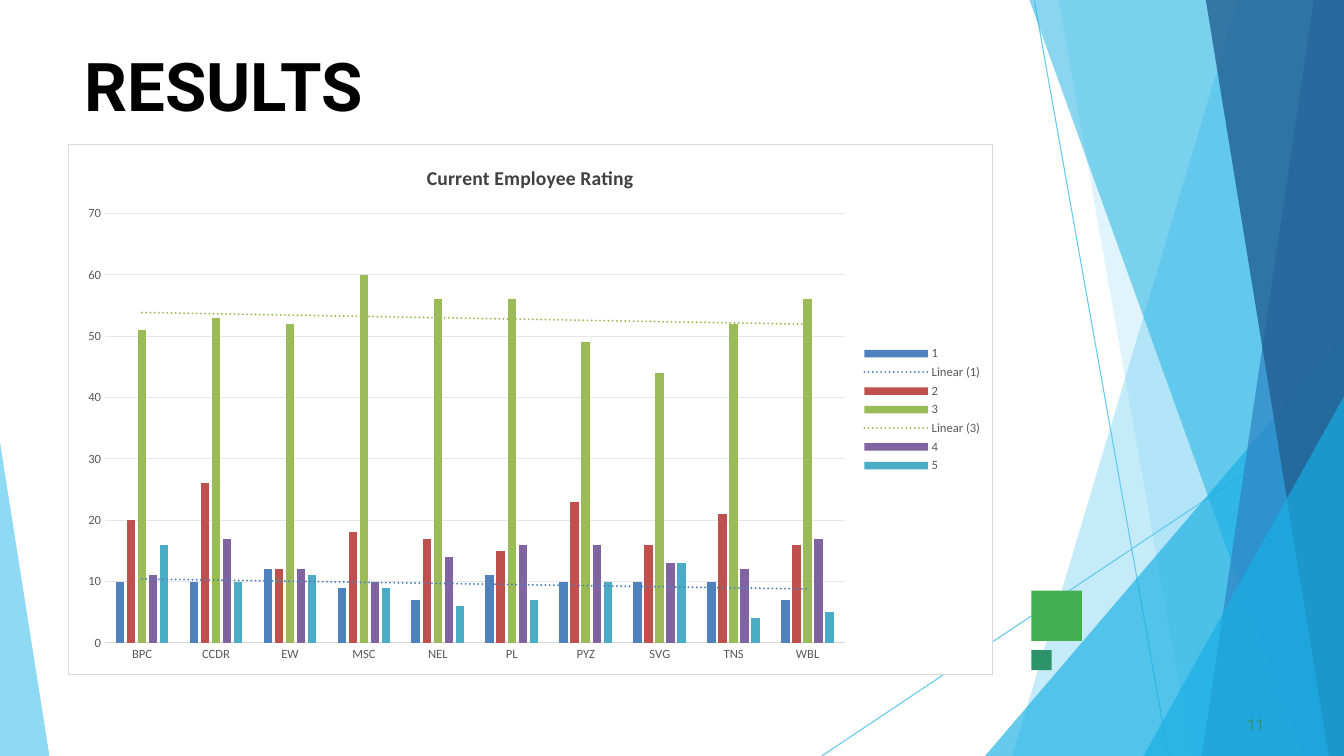
import pptx
import pptx.chart.data
import pptx.dml.color
import pptx.enum.chart
import pptx.enum.shapes
import pptx.enum.text
import pptx.oxml
import pptx.oxml.ns
import pptx.util

Inches, Pt = pptx.util.Inches, pptx.util.Pt
W, H = 13.33, 7.5
NS = pptx.oxml.ns.nsdecls("a", "c")
INK = {
    "sky": "5FCAEE", "azure": "17AFE3", "blue": "2D83C3", "navy": "226192",
    "green": "42AF51", "teal": "2D936B", "black": "000000", "white": "FFFFFF",
    "dark": "404040", "gray": "595959", "edge": "D9D9D9", "grid": "E6E6E6",
}
# start x, start y, end x, end y
RAYS = [(10.26, 0.01, 11.59, H), (W, 4.04, 8.15, H)]
# corner points, colour, opacity in percent
BANDS = [
    ([(W, 0), (12.28, 0), (10.04, H), (W, H)], "sky", 36),
    ([(W, 0), (10.5, 0), (11.82, H), (W, H)], "sky", 20),
    ([(W, 3.33), (9.77, H), (W, H)], "azure", 66),
    ([(W, 0), (10.21, 0), (12.91, H), (W, H)], "azure", 50),
    ([(W, 0), (13.03, 0), (11.92, H), (W, H)], "blue", 70),
    ([(W, 0), (11.96, 0), (13.18, H), (W, H)], "navy", 80),
    ([(W, 3.93), (11.34, H), (W, H)], "azure", 66),
    ([(0, 4.39), (0, H), (0.49, H)], "sky", 70),
]
# left, top, side, colour
SQUARES = [(10.23, 5.86, 0.5, "green"), (10.23, 6.45, 0.2, "teal")]
TEAMS = ["BPC", "CCDR", "EW", "MSC", "NEL", "PL", "PYZ", "SVG", "TNS", "WBL"]
# rating, colour, has trend line, counts
RATINGS = [
    ("1", "4F81BD", True, [10, 10, 12, 9, 7, 11, 10, 10, 10, 7]),
    ("2", "C0504D", False, [20, 26, 12, 18, 17, 15, 23, 16, 21, 16]),
    ("3", "9BBB59", True, [51, 53, 52, 60, 56, 56, 49, 44, 52, 56]),
    ("4", "8064A2", False, [11, 17, 12, 10, 14, 16, 16, 13, 12, 17]),
    ("5", "4BACC6", False, [16, 10, 11, 9, 6, 7, 10, 13, 4, 5]),
]
PLOT = {"x": 0.04, "y": 0.13, "w": 0.8, "h": 0.81}


def rgb(name):
    return pptx.dml.color.RGBColor.from_string(INK.get(name, name))


def paint(shape, color):
    shape.shadow.inherit = False
    shape.fill.solid()
    shape.fill.fore_color.rgb = rgb(color)
    shape.line.fill.background()


def stroke(line, color):
    line.color.rgb = rgb(color)
    line.width = Pt(0.75)


def style(font, size, color, face="Calibri", bold=False):
    font.size, font.name, font.bold = Pt(size), face, bold
    font.color.rgb = rgb(color)


def write(shape, text, size, color, bold=False):
    frame = shape.text_frame
    frame.text = text
    frame.word_wrap = True
    frame.vertical_anchor = pptx.enum.text.MSO_ANCHOR.TOP
    frame.margin_left = frame.margin_right = frame.margin_bottom = 0
    frame.margin_top = Inches(0.01)
    par = frame.paragraphs[0]
    par.alignment = pptx.enum.text.PP_ALIGN.LEFT
    run = par.runs[0]
    style(run.font, size, color, "Roboto", bold)
    run._r.get_or_add_rPr().set("kern", "0")


def draw_back(shapes):
    for x1, y1, x2, y2 in RAYS:
        ray = shapes.add_connector(
            pptx.enum.shapes.MSO_CONNECTOR.STRAIGHT,
            Inches(x1), Inches(y1), Inches(x2), Inches(y2))
        stroke(ray.line, "sky")
        ray._element.spPr.append(pptx.oxml.parse_xml(f"<a:effectLst {NS}/>"))
    for points, color, alpha in BANDS:
        # the builder rounds to whole units, so points go in as EMU
        spots = [(Inches(x), Inches(y)) for x, y in points]
        pen = shapes.build_freeform(*spots[0])
        pen.add_line_segments(spots[1:], close=True)
        band = pen.convert_to_shape()
        paint(band, color)
        tone = band._element.spPr.find(".//" + pptx.oxml.ns.qn("a:srgbClr"))
        tone.append(pptx.oxml.parse_xml(f'<a:alpha {NS} val="{alpha * 1000}"/>'))
    for x, y, side, color in SQUARES:
        paint(shapes.add_shape(
            pptx.enum.shapes.MSO_SHAPE.RECTANGLE,
            Inches(x), Inches(y), Inches(side), Inches(side)), color)


def add_trend(series, color):
    series._element.find(pptx.oxml.ns.qn("c:cat")).addprevious(pptx.oxml.parse_xml(
        f'<c:trendline {NS}><c:spPr><a:ln w="{Pt(1.5)}" cap="rnd"><a:solidFill>'
        f'<a:srgbClr val="{color}"/></a:solidFill><a:prstDash val="sysDot"/></a:ln>'
        '</c:spPr><c:trendlineType val="linear"/><c:dispRSqr val="0"/>'
        '<c:dispEq val="0"/></c:trendline>'))


def frame_chart(chart):
    """Fill and outline the chart area, and place the plot inside it."""
    root = chart._chartSpace
    root.find(pptx.oxml.ns.qn("c:txPr")).addprevious(pptx.oxml.parse_xml(
        f'<c:spPr {NS}><a:solidFill><a:srgbClr val="{INK["white"]}"/></a:solidFill>'
        f'<a:ln w="{Pt(0.75)}"><a:solidFill><a:srgbClr val="{INK["edge"]}"/>'
        '</a:solidFill></a:ln></c:spPr>'))
    area = root.find(".//" + pptx.oxml.ns.qn("c:plotArea"))
    for old in area.findall(pptx.oxml.ns.qn("c:layout")):
        area.remove(old)
    modes = "".join(f'<c:{k}Mode val="edge"/>' for k in "xy")
    sizes = "".join(f'<c:{k} val="{v}"/>' for k, v in PLOT.items())
    area.insert(0, pptx.oxml.parse_xml(
        f'<c:layout {NS}><c:manualLayout><c:layoutTarget val="inner"/>'
        f'{modes}{sizes}</c:manualLayout></c:layout>'))


def draw_chart(shapes):
    data = pptx.chart.data.CategoryChartData()
    data.categories = TEAMS
    for name, _, _, counts in RATINGS:
        data.add_series(name, counts)
    chart = shapes.add_chart(
        pptx.enum.chart.XL_CHART_TYPE.COLUMN_CLUSTERED,
        Inches(0.67), Inches(1.43), Inches(9.18), Inches(5.27), data).chart
    style(chart.font, 10, "black")
    chart.has_title = True
    head = chart.chart_title.text_frame
    head.text = "Current Employee Rating"
    style(head.paragraphs[0].runs[0].font, 14, "dark", bold=True)
    chart.has_legend = True
    chart.legend.position = pptx.enum.chart.XL_LEGEND_POSITION.RIGHT
    chart.legend.include_in_layout = False
    style(chart.legend.font, 9, "gray")

    teams, count = chart.category_axis, chart.value_axis
    for axis in (teams, count):
        axis.major_tick_mark = pptx.enum.chart.XL_TICK_MARK.NONE
        style(axis.tick_labels.font, 9, "gray")
    stroke(teams.format.line, "edge")
    count.format.line.fill.background()
    count.minimum_scale, count.maximum_scale, count.major_unit = 0, 70, 10
    stroke(count.major_gridlines.format.line, "grid")

    plot = chart.plots[0]
    plot.gap_width, plot.overlap, plot.vary_by_categories = 246, -28, False
    for series, (_, color, trend, _) in zip(plot.series, RATINGS):
        series.format.fill.solid()
        series.format.fill.fore_color.rgb = rgb(color)
        if trend:
            add_trend(series, color)
    frame_chart(chart)


def main():
    deck = pptx.Presentation()
    deck.slide_width, deck.slide_height = Inches(W), Inches(H)
    slide = deck.slides.add_slide(deck.slide_layouts[5])
    draw_back(slide.shapes)
    title = slide.shapes.title
    title.left, title.top = Inches(0.84), Inches(0.43)
    title.width, title.height = Inches(11.67), Inches(0.83)
    write(title, "RESULTS", 48, "black", True)
    page = slide.shapes.add_textbox(
        Inches(12.37), Inches(7.08), Inches(0.25), Inches(0.21))
    write(page, "11", 11, "teal")
    draw_chart(slide.shapes)
    deck.save("out.pptx")


if __name__ == "__main__":
    main()
